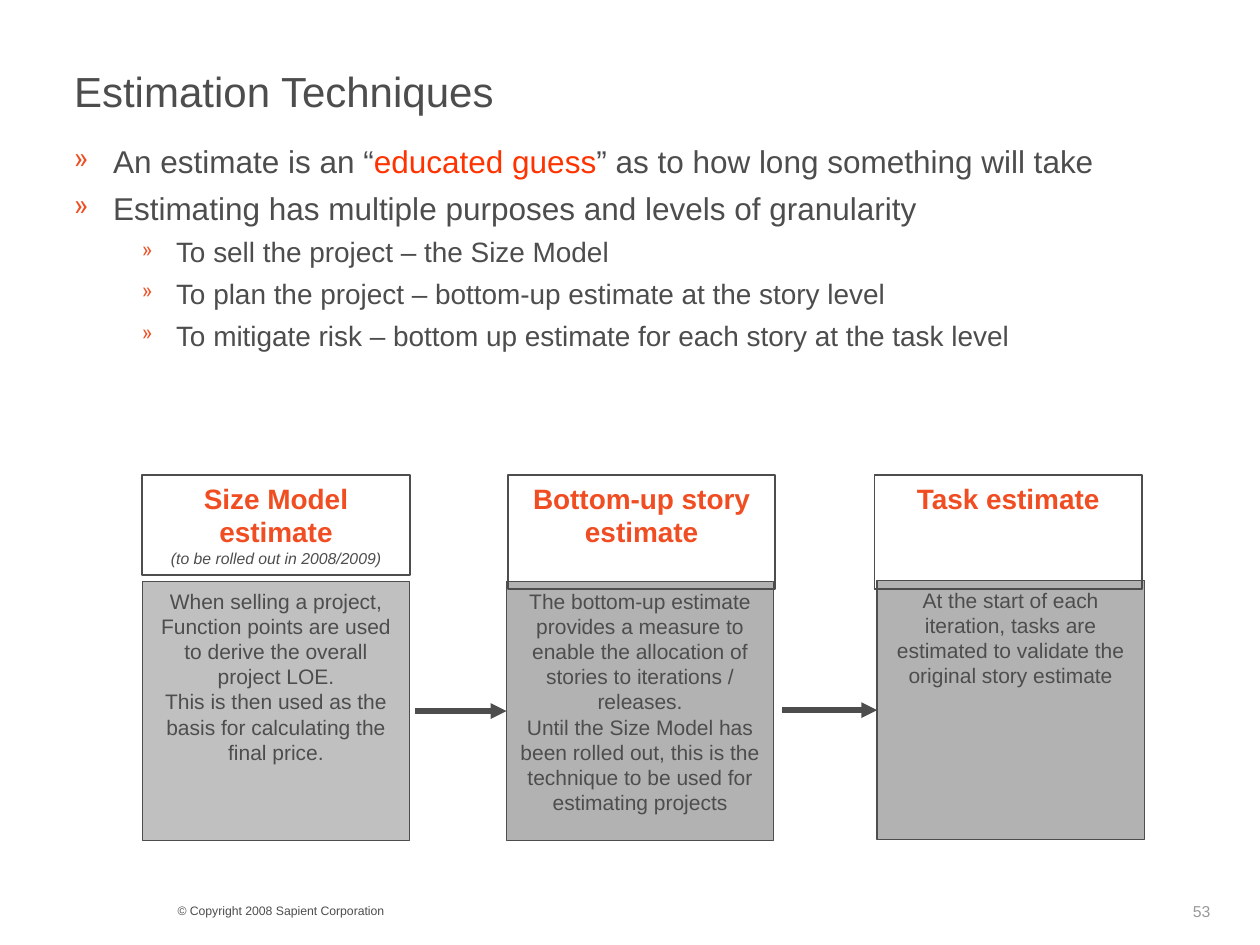
from lxml.etree import SubElement
from pptx import Presentation
from pptx.dml.color import RGBColor
from pptx.enum.shapes import MSO_CONNECTOR, MSO_SHAPE
from pptx.enum.text import MSO_ANCHOR, MSO_AUTO_SIZE, PP_ALIGN
from pptx.oxml.ns import qn
from pptx.util import Cm, Pt


def color(value):
    return RGBColor.from_string(value)


class SlideBuilder:
    font = "Arial"
    ink = "4D4D4D"
    accent = "F04E22"
    highlight = "FF3300"
    muted = "999999"

    def __init__(self, slide):
        self.slide = slide

    def format_runs(self, paragraph, size, shade=None, bold=False, italic=False):
        for run in paragraph.runs:
            run.font.name = self.font
            run.font.size = Pt(size)
            run.font.bold = bold
            run.font.italic = italic
            run.font.color.rgb = color(shade or self.ink)

    def title(self, text, left, top, width, height):
        heading = self.slide.shapes.title
        heading.left, heading.top = Cm(left), Cm(top)
        heading.width, heading.height = Cm(width), Cm(height)
        frame = heading.text_frame
        frame.text = text
        frame.auto_size = MSO_AUTO_SIZE.NONE
        frame.vertical_anchor = MSO_ANCHOR.MIDDLE
        frame.paragraphs[0].alignment = PP_ALIGN.LEFT
        self.format_runs(frame.paragraphs[0], 24)

    def text(self, text, left, top, width, height, size, shade=None, wrap=True):
        label = self.slide.shapes.add_textbox(Cm(left), Cm(top), Cm(width), Cm(height))
        frame = label.text_frame
        frame.word_wrap = wrap
        frame.text = text
        self.format_runs(frame.paragraphs[0], size, shade)
        return frame

    def bullet(self, paragraph, level):
        margin, hanging, percent = ((0.79, 0.79, 85), (2.06, 0.69, 70))[level]
        paragraph.level = level
        properties = paragraph._p.get_or_add_pPr()
        properties.set("marL", str(Cm(margin)))
        properties.set("indent", str(-Cm(hanging)))
        bullet_color = SubElement(properties, qn("a:buClr"))
        SubElement(bullet_color, qn("a:srgbClr"), val=self.accent)
        SubElement(properties, qn("a:buSzPct"), val=str(percent * 1000))
        SubElement(properties, qn("a:buChar"), char="»")

    def bullets(self, points, left, top, width, height):
        outline = self.slide.shapes.add_textbox(Cm(left), Cm(top), Cm(width), Cm(height))
        frame = outline.text_frame
        frame.word_wrap = True
        for index, (level, parts) in enumerate(points):
            paragraph = frame.add_paragraph() if index else frame.paragraphs[0]
            paragraph.text = parts[0]
            for part in parts[1:]:
                paragraph.add_run().text = part
            self.bullet(paragraph, level)
            if index:
                paragraph.space_before = Pt((5.2, 4.6)[level])
            self.format_runs(paragraph, (18, 16)[level])
            for emphasis in paragraph.runs[1::2]:
                emphasis.font.color.rgb = color(self.highlight)

    def box(self, lines, left, top, width, height, fill=None, line_width=0.75):
        panel = self.slide.shapes.add_shape(
            MSO_SHAPE.RECTANGLE, Cm(left), Cm(top), Cm(width), Cm(height))
        panel.shadow.inherit = False
        if fill:
            panel.fill.solid()
            panel.fill.fore_color.rgb = color(fill)
        else:
            panel.fill.background()
        panel.line.color.rgb = color(self.ink)
        panel.line.width = Pt(line_width)
        frame = panel.text_frame
        frame.word_wrap = True
        frame.vertical_anchor = MSO_ANCHOR.TOP
        frame.text = "\n".join(lines)
        for paragraph in frame.paragraphs:
            paragraph.alignment = PP_ALIGN.CENTER
            self.format_runs(paragraph, 12)
        return panel

    def header(self, lines, left, top, width, height):
        panel = self.box(lines, left, top, width, height, line_width=1)
        name, *notes = panel.text_frame.paragraphs
        self.format_runs(name, 16, self.accent, bold=True)
        for note in notes:
            self.format_runs(note, 9, italic=True)

    def arrow_to(self, target, start):
        middle = target.top + target.height // 2
        arrow = self.slide.shapes.add_connector(
            MSO_CONNECTOR.STRAIGHT, Cm(start), middle, target.left, middle)
        arrow.end_connect(target, 1)
        arrow.line.color.rgb = color(self.ink)
        arrow.line.width = Pt(3)
        SubElement(arrow.line._get_or_add_ln(), qn("a:tailEnd"), type="triangle")
        SubElement(arrow._element.spPr, qn("a:effectLst"))


POINTS = [
    (0, ["An estimate is an “", "educated guess", "” as to how long something will take"]),
    (0, ["Estimating has multiple purposes and levels of granularity"]),
    (1, ["To sell the project – the Size Model"]),
    (1, ["To plan the project – bottom-up estimate at the story level"]),
    (1, ["To mitigate risk – bottom up estimate for each story at the task level"]),
]

DESCRIPTIONS = [
    (2.87, 11.73, "C0C0C0", [
        "When selling a project, Function points are used to derive the overall project LOE.",
        "This is then used as the basis for calculating the final price."]),
    (10.21, 11.73, "B2B2B2", [
        "The bottom-up estimate provides a measure to enable the allocation of stories "
        "to iterations / releases.",
        "Until the Size Model has been rolled out, this is the technique to be used for "
        "estimating projects"]),
    (17.68, 11.71, "B2B2B2", [
        "At the start of each iteration, tasks are estimated to validate the original "
        "story estimate"]),
]

HEADERS = [
    (2.87, 2.01, ["Size Model estimate", "(to be rolled out in 2008/2009)"]),
    (10.24, 2.29, ["Bottom-up story estimate"]),
    (17.63, 2.29, ["Task estimate"]),
]


def main():
    presentation = Presentation()
    presentation.slide_width = Cm(25.4)
    presentation.slide_height = Cm(19.05)
    builder = SlideBuilder(presentation.slides.add_slide(presentation.slide_layouts[5]))

    builder.text("© Copyright 2008 Sapient Corporation", 3.33, 18.08, 10.16, 0.56, 7)
    builder.text("53", 23.8, 18.06, 1.9, 0.61, 9, builder.muted, wrap=False)
    builder.title("Estimation Techniques", 1.24, 1.12, 22.89, 1.4)
    builder.bullets(POINTS, 1.24, 2.74, 22.86, 14.35)

    column_width = 5.39
    descriptions = [builder.box(lines, left, top, column_width, 5.21, fill)
                    for left, top, fill, lines in DESCRIPTIONS]
    for target, start in zip(descriptions[1:], (8.36, 15.77)):
        builder.arrow_to(target, start)
    for left, height, lines in HEADERS:
        builder.header(lines, left, 9.58, column_width, height)

    presentation.save("out.pptx")


if __name__ == "__main__":
    main()
